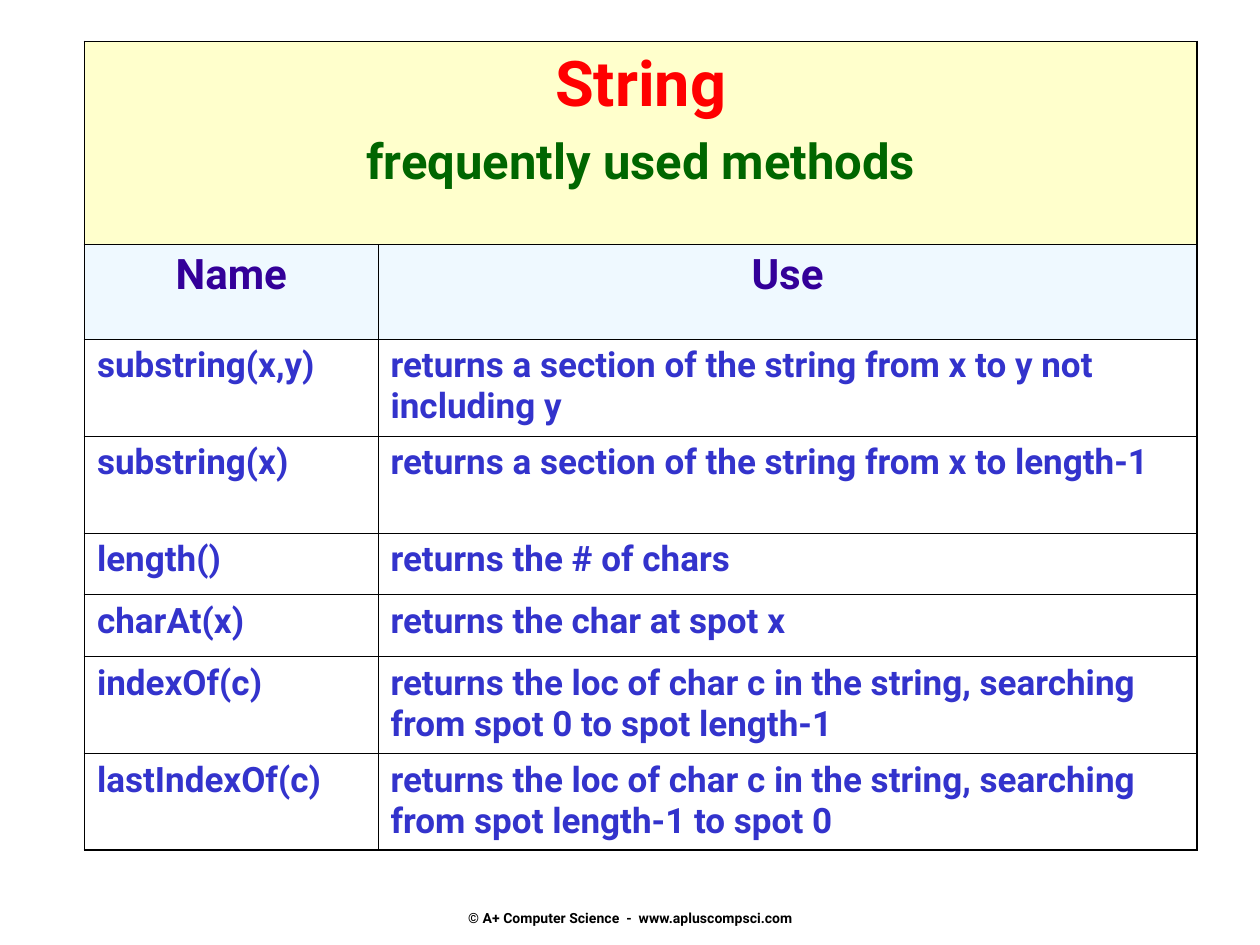
from lxml.etree import SubElement
from pptx import Presentation
from pptx.dml.color import RGBColor
from pptx.enum.text import MSO_ANCHOR, PP_ALIGN
from pptx.oxml import parse_xml
from pptx.oxml.ns import nsdecls, qn
from pptx.util import Inches, Pt

COLORS = {
    "line": "000000",
    "banner": "FFFFCC",
    "heading_band": "E1F4FF",
    "class_name": "FF0000",
    "subtitle": "006600",
    "heading": "330099",
    "method": "3333CC",
    "footer": "000000",
}
FONT = "Roboto"
OUTER, INNER = 1.08, 0.45

COLUMN_WIDTHS = [2.33, 6.5]
BANNER_HEIGHT, HEADING_HEIGHT = 1.61, 0.75
SHORT_ROW, TALL_ROW = 0.49, 0.77
METHODS = [
    ("substring(x,y)", "returns a section of the string from x to y not including y", TALL_ROW),
    ("substring(x)", "returns a section of the string from x to length-1", TALL_ROW),
    ("length()", "returns the # of chars", SHORT_ROW),
    ("charAt(x)", "returns the char at spot x", SHORT_ROW),
    ("indexOf(c)", "returns the loc of char c in the string, searching from spot 0 to spot length-1", TALL_ROW),
    ("lastIndexOf(c)", "returns the loc of char c in the string, searching from spot length-1 to spot 0", TALL_ROW),
]


def write(paragraph, text, size, color, align=PP_ALIGN.LEFT):
    paragraph.text = text
    paragraph.alignment = align
    paragraph.font.name = FONT
    paragraph.font.size = Pt(size)
    paragraph.font.bold = True
    paragraph.font.color.rgb = RGBColor.from_string(COLORS[color])


def fill_cell(cell, color, opacity=100):
    cell.fill.solid()
    cell.fill.fore_color.rgb = RGBColor.from_string(COLORS[color])
    if opacity < 100:
        shade = cell.fill._xPr.find(".//" + qn("a:srgbClr"))
        SubElement(shade, qn("a:alpha"), val=str(opacity * 1000))


def draw_borders(table):
    last_row, last_column = len(table.rows) - 1, len(table.columns) - 1
    for row in range(last_row + 1):
        for column in range(last_column + 1):
            outer_sides = {
                "L": column == 0,
                "R": column == last_column or row == 0,
                "T": row == 0,
                "B": row == last_row,
            }
            properties = table.cell(row, column)._tc.get_or_add_tcPr()
            for position, (side, is_outer) in enumerate(outer_sides.items()):
                width = Pt(OUTER if is_outer else INNER)
                properties.insert(position, parse_xml(
                    f'<a:ln{side} {nsdecls("a")} w="{width}"><a:solidFill>'
                    f'<a:srgbClr val="{COLORS["line"]}"/></a:solidFill></a:ln{side}>'))


def add_methods_table(slide, left, top):
    heights = [BANNER_HEIGHT, HEADING_HEIGHT] + [height for _, _, height in METHODS]
    table = slide.shapes.add_table(
        len(heights), len(COLUMN_WIDTHS), Inches(left), Inches(top),
        Inches(sum(COLUMN_WIDTHS)), Inches(sum(heights))).table
    table.first_row = table.horz_banding = False
    for column, width in zip(table.columns, COLUMN_WIDTHS):
        column.width = Inches(width)
    for row, height in zip(table.rows, heights):
        row.height = Inches(height)

    banner = table.cell(0, 0)
    banner.merge(table.cell(0, 1))
    fill_cell(banner, "banner")
    write(banner.text_frame.paragraphs[0], "String", 36, "class_name", PP_ALIGN.CENTER)
    subtitle = banner.text_frame.add_paragraph()
    write(subtitle, "frequently used methods", 28, "subtitle", PP_ALIGN.CENTER)
    subtitle.space_before = Pt(7)

    for column, heading in enumerate(["Name", "Use"]):
        cell = table.cell(1, column)
        fill_cell(cell, "heading_band", 50)
        write(cell.text_frame.paragraphs[0], heading, 24, "heading", PP_ALIGN.CENTER)

    for row, (name, use, _) in enumerate(METHODS, start=2):
        for column, text in enumerate([name, use]):
            cell = table.cell(row, column)
            cell.fill.background()
            write(cell.text_frame.paragraphs[0], text, 20, "method")
    draw_borders(table)


def add_footer(slide, left, top, width, height):
    footer = slide.shapes.add_textbox(
        Inches(left), Inches(top), Inches(width), Inches(height)).text_frame
    footer.word_wrap = False
    footer.vertical_anchor = MSO_ANCHOR.BOTTOM
    footer.margin_bottom = 0
    write(footer.paragraphs[0], "© A+ Computer Science\u00a0 -\u00a0 www.apluscompsci.com".replace("\u00a0", " "),
          8, "footer", PP_ALIGN.CENTER)


def main():
    presentation = Presentation()
    presentation.slide_width, presentation.slide_height = Inches(10), Inches(7.5)
    slide = presentation.slides.add_slide(presentation.slide_layouts[6])
    add_footer(slide, 3.42, 6.85, 3.17, 0.5)
    add_methods_table(slide, 0.67, 0.33)
    presentation.save("out.pptx")


if __name__ == "__main__":
    main()
